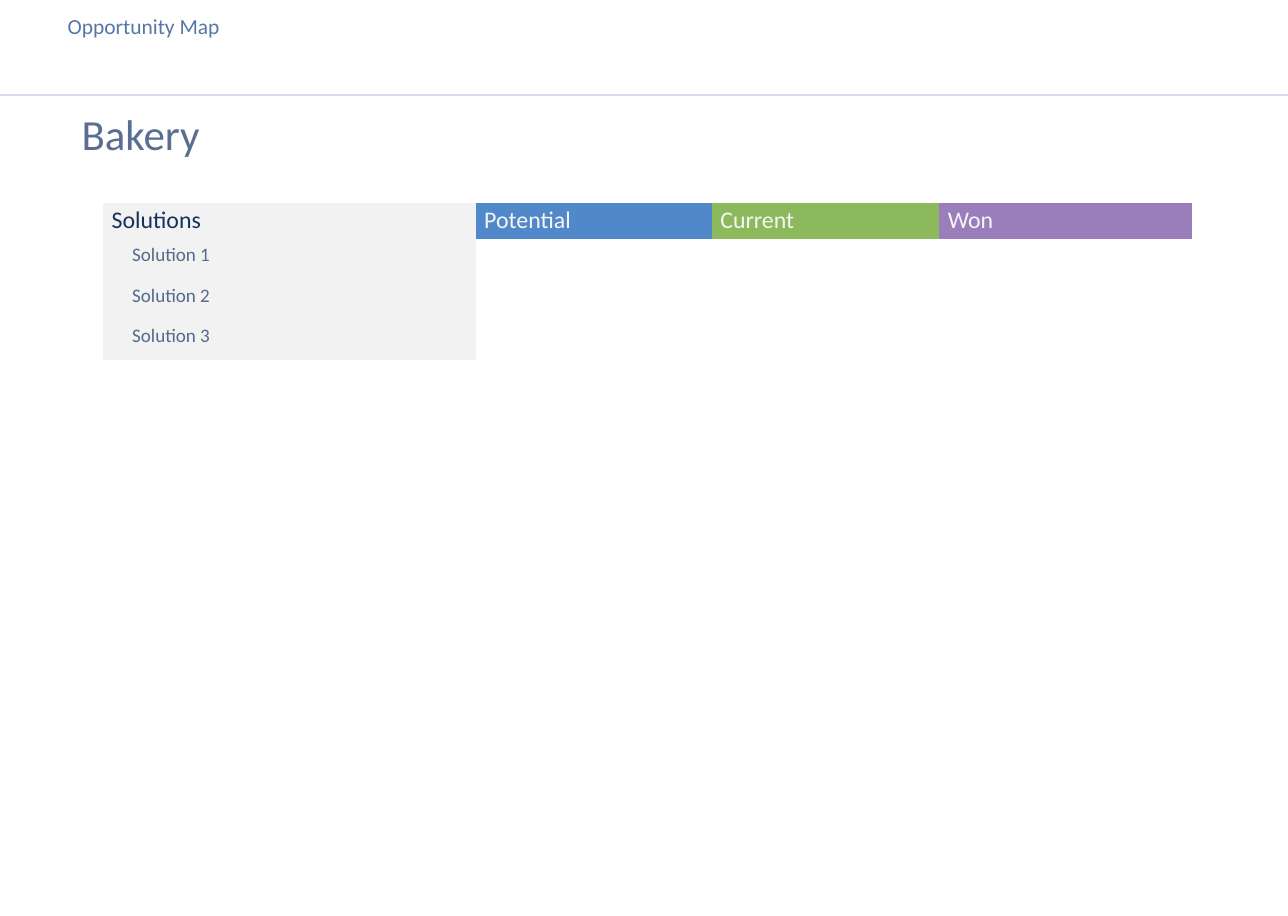
import pptx
import pptx.util
import pptx.dml.color
import pptx.enum.shapes
import pptx.oxml.ns
import lxml.etree

Inches = pptx.util.Inches

TITLE = "Opportunity Map"
SECTOR = "Bakery"
HEADS = [("Solutions", 3, "navy", "gray"), ("Potential", 2, "pale", "blue"),
         ("Current", 2, "pale", "green"), ("Won", 2, "pale", "purple")]
ITEMS = ["Solution 1", "Solution 2", "Solution 3"]

THEME = {
    "font": "Calibri",
    "color": {"title": "5577A5", "rule": "D9D9EA", "sector": "596E91",
              "navy": "16325C", "slate": "556A8C", "pale": "F5F5F5",
              "gray": "F2F2F2", "white": "FFFFFF", "blue": "5188CA",
              "green": "8DB95D", "purple": "9A7EBB"},
    "size": {"title": 18, "sector": 36, "head": 20, "item": 16},
}
PLAIN = "{2D5ABB26-0587-4C30-8999-92F81FD0307C}"


def tint(name):
    return pptx.dml.color.RGBColor.from_string(THEME["color"][name])


def write(frame, text, size, color, spacing=None):
    para = frame.paragraphs[0]
    para.line_spacing = spacing
    run = para.add_run()
    run.text = text
    run.font.name = THEME["font"]
    run.font.size = pptx.util.Pt(THEME["size"][size])
    run.font.color.rgb = tint(color)


def paint(cell, color):
    cell.fill.solid()
    cell.fill.fore_color.rgb = tint(color)


def grid(slide, left, top, cols, rows):
    frame = slide.shapes.add_table(len(rows), len(cols), Inches(left), Inches(top),
                                   Inches(sum(cols)), Inches(sum(rows)))
    table = frame.table
    table.first_row = table.horz_banding = False
    style = frame.element.find(".//" + pptx.oxml.ns.qn("a:tableStyleId"))
    style.text = PLAIN
    for col, width in zip(table.columns, cols):
        col.width = Inches(width)
    for row, height in zip(table.rows, rows):
        row.height = Inches(height)
    return table


def header(slide):
    box = slide.shapes.add_textbox(Inches(0.69), Inches(0.13), Inches(13.19), Inches(0.69))
    box.text_frame.word_wrap = True
    write(box.text_frame, TITLE, size="title", color="title", spacing=0.93)
    rule = slide.shapes.add_connector(pptx.enum.shapes.MSO_CONNECTOR.STRAIGHT,
                                      Inches(0), Inches(1.11), Inches(15), Inches(1.11))
    rule.line.color.rgb = tint("rule")
    rule.line.width = pptx.util.Pt(2)
    lxml.etree.SubElement(rule.element.spPr, pptx.oxml.ns.qn("a:effectLst"))


def sector(slide):
    table = grid(slide, 0.92, 1.24, [6.58, 4.96, 1.61], [0.47, 0.29])
    cell = table.cell(0, 0)
    cell.merge(table.cell(0, 2))
    table.cell(1, 1).merge(table.cell(1, 2))
    cell.margin_left = cell.margin_right = Inches(0.03)
    cell.margin_top = cell.margin_bottom = Inches(0.04)
    write(cell.text_frame, SECTOR, size="sector", color="sector")


def matrix(slide):
    cols = [0.24, 3.39, 0.71, 0.55, 2.2, 0.63, 2.02, 0.57, 2.37]
    table = grid(slide, 1.2, 2.36, cols, [0.43] + [0.47] * len(ITEMS))
    start = 0
    for text, span, ink, fill in HEADS:
        cell = table.cell(0, start)
        cell.merge(table.cell(0, start + span - 1))
        paint(cell, fill)
        write(cell.text_frame, text, size="head", color=ink, spacing=0.93)
        start += span
    side = HEADS[0][1]
    for row, text in enumerate(ITEMS, 1):
        for col in range(len(cols)):
            paint(table.cell(row, col), "gray" if col < side else "white")
        write(table.cell(row, 1).text_frame, text, size="item", color="slate")


def main():
    deck = pptx.Presentation()
    deck.slide_width, deck.slide_height = Inches(15), Inches(10.67)
    slide = deck.slides.add_slide(deck.slide_layouts[6])
    header(slide)
    sector(slide)
    matrix(slide)
    deck.save("out.pptx")


if __name__ == "__main__":
    main()
